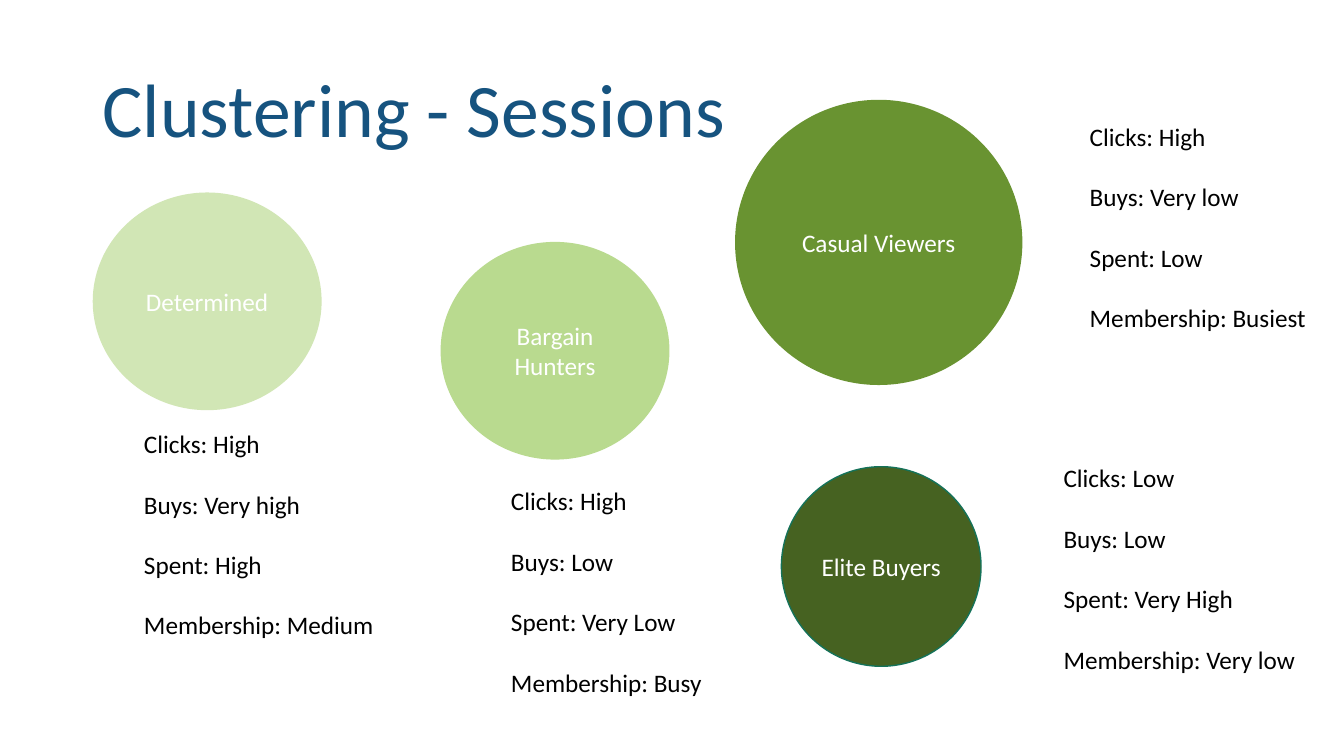
from pptx import Presentation
from pptx.dml.color import RGBColor
from pptx.enum import shapes, text
from pptx.util import Inches, Pt

FONT = "Calibri"
WHITE = RGBColor(0xFF, 0xFF, 0xFF)
BLACK = RGBColor(0x00, 0x00, 0x00)
TITLE_BLUE = RGBColor(0x16, 0x53, 0x7F)
PALE_GREEN = RGBColor(0xD1, 0xE6, 0xB5)
LIGHT_GREEN = RGBColor(0xB9, 0xDA, 0x8F)
MID_GREEN = RGBColor(0x69, 0x93, 0x31)
DARK_GREEN = RGBColor(0x46, 0x62, 0x21)
TEAL = RGBColor(0x15, 0x72, 0x59)

TRAITS = ("Clicks", "Buys", "Spent", "Membership")
CLUSTERS = (
    ("Determined", (0.92, 1.91, 2.27, 2.16), PALE_GREEN, None,
     (1.33, 4.2), ("High", "Very high", "High", "Medium")),
    ("Bargain Hunters", (4.37, 2.4, 2.27, 2.16), LIGHT_GREEN, None,
     (4.97, 4.77), ("High", "Low", "Very Low", "Busy")),
    ("Casual Viewers", (7.29, 0.99, 2.85, 2.83), MID_GREEN, None,
     (10.71, 1.15), ("High", "Very low", "Low", "Busiest")),
    ("Elite Buyers", (7.75, 4.63, 1.98, 1.98), DARK_GREEN, TEAL,
     (10.45, 4.54), ("Low", "Low", "Very High", "Very low")),
)


def write(paragraph, words, size, color):
    run = paragraph.add_run()
    run.text = words
    run.font.name = FONT
    run.font.size = Pt(size)
    run.font.color.rgb = color


def add_title(slide, words):
    title = slide.shapes.add_textbox(
        Inches(0.92), Inches(0.4), Inches(11.5), Inches(1.45))
    frame = title.text_frame
    frame.word_wrap = True
    frame.vertical_anchor = text.MSO_ANCHOR.MIDDLE
    heading = frame.paragraphs[0]
    heading.line_spacing = 0.9
    write(heading, words, 54, TITLE_BLUE)


def add_circle(slide, name, bounds, fill, outline):
    circle = slide.shapes.add_shape(
        shapes.MSO_SHAPE.FLOWCHART_CONNECTOR, *map(Inches, bounds))
    circle.shadow.inherit = False
    circle.fill.solid()
    circle.fill.fore_color.rgb = fill
    if outline is None:
        circle.line.fill.background()
    else:
        circle.line.color.rgb = outline
        circle.line.width = Pt(1)
    frame = circle.text_frame
    frame.word_wrap = True
    frame.vertical_anchor = text.MSO_ANCHOR.MIDDLE
    label = frame.paragraphs[0]
    label.alignment = text.PP_ALIGN.CENTER
    write(label, name, 18, WHITE)


def add_traits(slide, corner, levels):
    left, top = corner
    profile = slide.shapes.add_textbox(
        Inches(left), Inches(top), Inches(2.67), Inches(2.22))
    frame = profile.text_frame
    frame.word_wrap = True
    frame.auto_size = text.MSO_AUTO_SIZE.SHAPE_TO_FIT_TEXT
    for index, (trait, level) in enumerate(zip(TRAITS, levels)):
        line = frame.add_paragraph() if index else frame.paragraphs[0]
        if index:
            line.space_before = Pt(21.6)
        write(line, f"{trait}: {level}", 18, BLACK)


def main():
    deck = Presentation()
    deck.slide_width = Inches(13.33)
    deck.slide_height = Inches(7.5)
    slide = deck.slides.add_slide(deck.slide_layouts[6])
    add_title(slide, "Clustering - Sessions")
    for name, bounds, fill, outline, corner, levels in CLUSTERS:
        add_circle(slide, name, bounds, fill, outline)
        add_traits(slide, corner, levels)
    deck.save("out.pptx")


if __name__ == "__main__":
    main()
